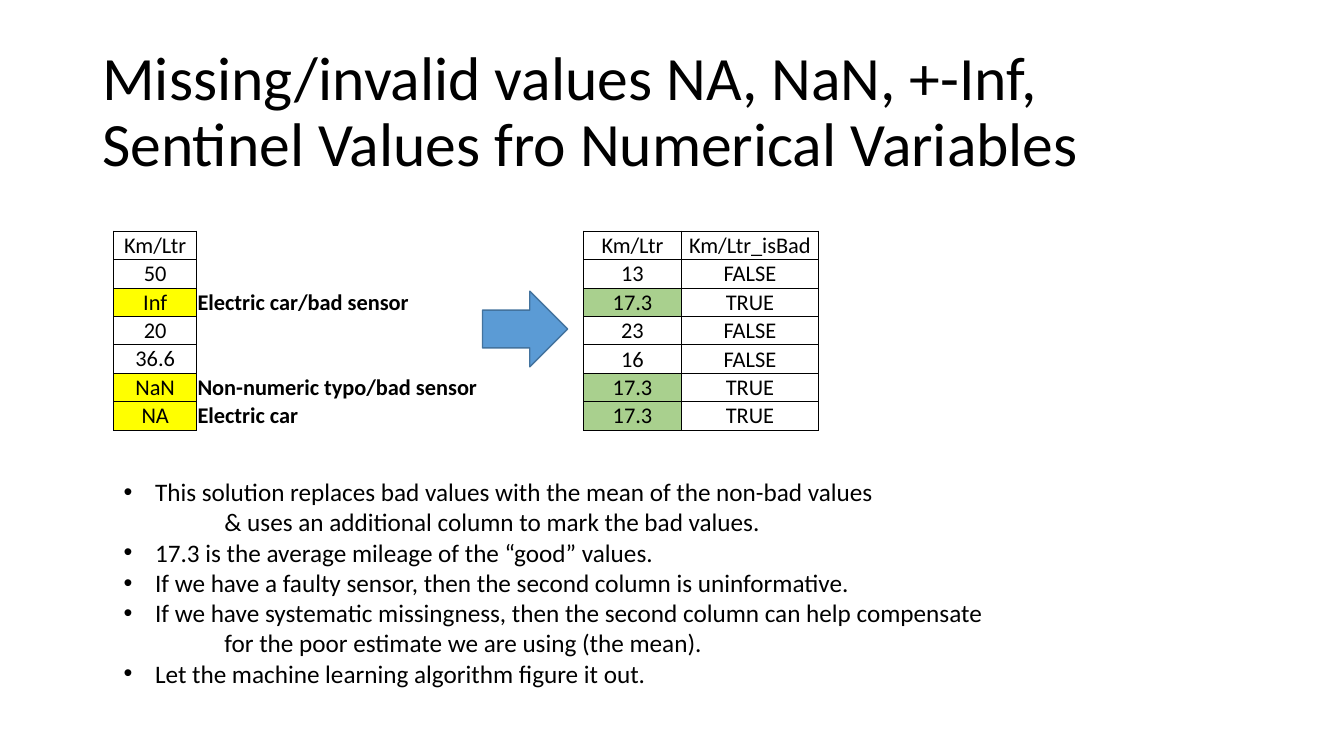
import pptx
import pptx.dml.color
import pptx.enum.shapes
import pptx.enum.text
import pptx.util
from lxml import etree
from pptx.oxml.ns import qn

Pt = pptx.util.Pt
ALIGN = pptx.enum.text.PP_ALIGN
ANCHOR = pptx.enum.text.MSO_ANCHOR
COLORS = {
    "text": "000000",
    "bad": "FFFF00",
    "mean": "A9D08E",
    "arrow": "5B9BD5",
    "arrow_line": "43739E",
}
ROW_HEIGHT = 20.3


def rgb(name):
    return pptx.dml.color.RGBColor.from_string(COLORS[name])


def style_text(p, size, bold=False):
    for r in p.runs:
        r.font.name = "Calibri"
        r.font.size = Pt(size)
        r.font.bold = bold
        r.font.color.rgb = rgb("text")


prs = pptx.Presentation()
prs.slide_width, prs.slide_height = Pt(960), Pt(540)
s = prs.slides.add_slide(prs.slide_layouts[6])

title = s.shapes.add_textbox(Pt(66), Pt(28.75), Pt(828), Pt(104.4))
tf = title.text_frame
tf.word_wrap = True
tf.vertical_anchor = ANCHOR.MIDDLE
tf.text = "Missing/invalid values NA, NaN, +-Inf, Sentinel Values fro Numerical Variables"
tf.paragraphs[0].line_spacing = 0.9
style_text(tf.paragraphs[0], 44)

raw_rows = [
    ("Km/Ltr", ""),
    ("50", ""),
    ("Inf", "Electric car/bad sensor"),
    ("20", ""),
    ("36.6", ""),
    ("NaN", "Non-numeric typo/bad sensor"),
    ("NA", "Electric car"),
]
treated_rows = [
    ("Km/Ltr", "Km/Ltr_isBad"),
    ("13", "FALSE"),
    ("17.3", "TRUE"),
    ("23", "FALSE"),
    ("16", "FALSE"),
    ("17.3", "TRUE"),
    ("17.3", "TRUE"),
]
fills = {"Inf": "bad", "NaN": "bad", "NA": "bad", "17.3": "mean"}
tables = [
    (81.2, (59.3, 207.2), raw_rows, True),
    (416.8, (70, 97.8), treated_rows, False),
]

for left, widths, rows, has_notes in tables:
    table = s.shapes.add_table(
        len(rows), 2, Pt(left), Pt(165), Pt(sum(widths)), Pt(ROW_HEIGHT * len(rows))
    ).table
    table.first_row = table.horz_banding = False
    for column, width in zip(table.columns, widths):
        column.width = Pt(width)
    for i, row in enumerate(rows):
        table.rows[i].height = Pt(ROW_HEIGHT)
        for j, text in enumerate(row):
            is_note = has_notes and j == 1
            cell = table.cell(i, j)
            cell.margin_left = cell.margin_right = cell.margin_top = Pt(0.6)
            cell.margin_bottom = 0
            cell.vertical_anchor = ANCHOR.MIDDLE if has_notes and j == 0 else ANCHOR.BOTTOM
            p = cell.text_frame.paragraphs[0]
            if text:
                p.text = text
                p.alignment = ALIGN.LEFT if is_note else ALIGN.CENTER
                style_text(p, 16, is_note)
            else:
                p._p.get_or_add_endParaRPr().set("sz", "1600")
            tcPr = cell._tc.get_or_add_tcPr()
            for side in ("lnL", "lnR", "lnT", "lnB"):
                if is_note and side != "lnL":
                    ln = etree.SubElement(tcPr, qn("a:" + side))
                    etree.SubElement(ln, qn("a:noFill"))
                else:
                    ln = etree.SubElement(tcPr, qn("a:" + side), w=str(Pt(0.5)))
                    fill = etree.SubElement(ln, qn("a:solidFill"))
                    etree.SubElement(fill, qn("a:srgbClr"), val=COLORS["text"])
            if text in fills:
                cell.fill.solid()
                cell.fill.fore_color.rgb = rgb(fills[text])
            else:
                cell.fill.background()

arrow = s.shapes.add_shape(
    pptx.enum.shapes.MSO_SHAPE.RIGHT_ARROW, Pt(344.6), Pt(208), Pt(60.8), Pt(54)
)
arrow.shadow.inherit = False
arrow.fill.solid()
arrow.fill.fore_color.rgb = rgb("arrow")
arrow.line.color.rgb = rgb("arrow_line")
arrow.line.width = Pt(1)

points = [
    ("This solution replaces bad values with the mean of the non-bad values", True),
    ("& uses an additional column to mark the bad values.", False),
    ("17.3 is the average mileage of the “good” values.", True),
    ("If we have a faulty sensor, then the second column is uninformative.", True),
    ("If we have systematic missingness, then the second column can help compensate", True),
    ("for the poor estimate we are using (the mean).", False),
    ("Let the machine learning algorithm figure it out.", True),
]
notes = s.shapes.add_textbox(Pt(81.2), Pt(336.8), Pt(648), Pt(160))
tf = notes.text_frame
tf.word_wrap = True
for i, (text, bulleted) in enumerate(points):
    p = tf.paragraphs[0] if i == 0 else tf.add_paragraph()
    p.text = text
    style_text(p, 18)
    pPr = p._p.get_or_add_pPr()
    if bulleted:
        pPr.set("marL", str(Pt(22.5)))
        pPr.set("indent", str(Pt(-22.5)))
        etree.SubElement(pPr, qn("a:buFont"), typeface="Arial")
        etree.SubElement(pPr, qn("a:buChar"), char="•")
    else:
        pPr.set("marL", str(Pt(72)))
        pPr.set("indent", "0")

prs.save("out.pptx")
